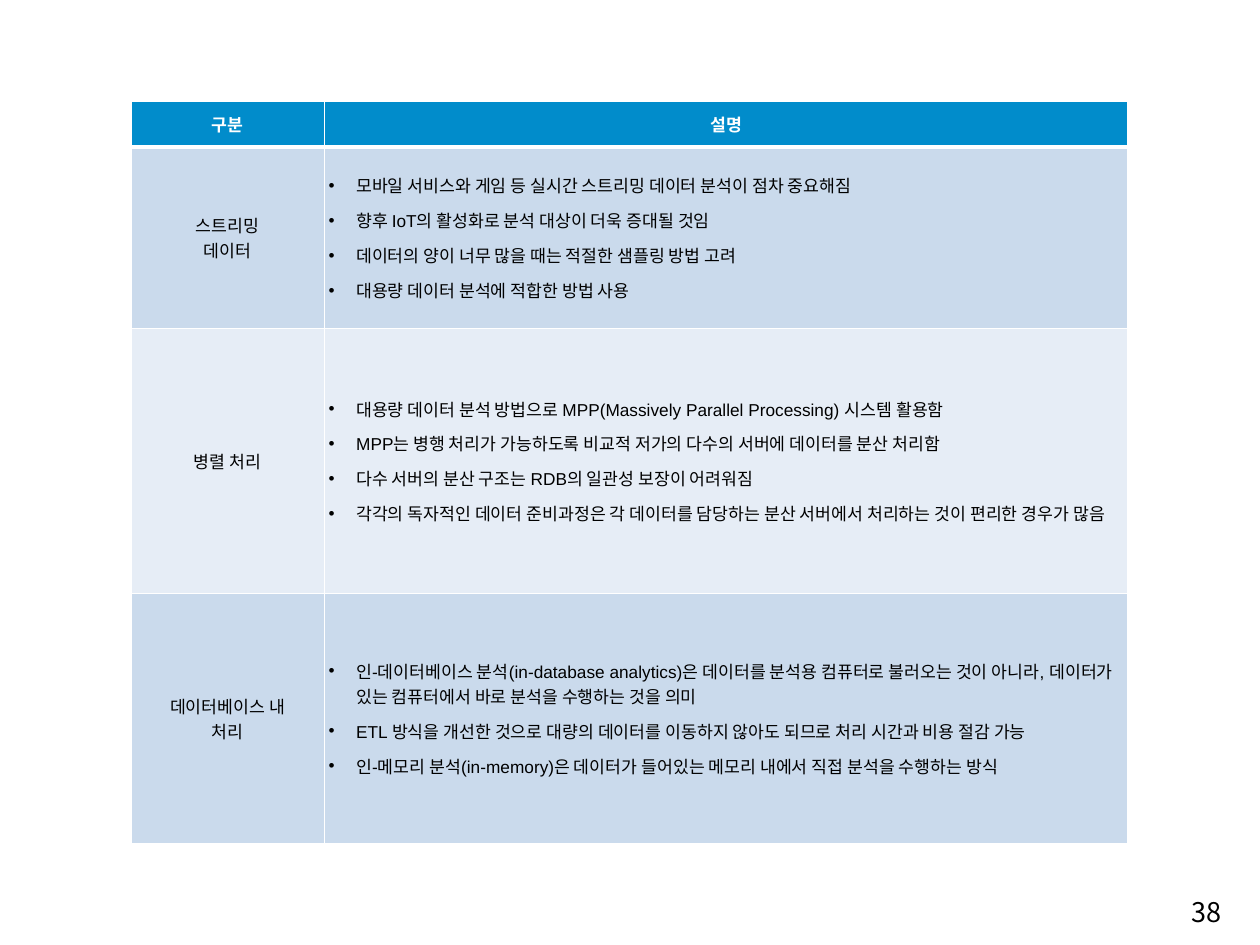
from lxml.etree import SubElement
from pptx import Presentation
from pptx.dml.color import RGBColor
from pptx.enum.text import MSO_ANCHOR, PP_ALIGN
from pptx.oxml.ns import qn
from pptx.util import Inches, Pt

HEADER = ("구분", "설명")
TOPICS = [
    (["스트리밍", "데이터"], [
        "모바일 서비스와 게임 등 실시간 스트리밍 데이터 분석이 점차 중요해짐",
        "향후 IoT의 활성화로 분석 대상이 더욱 증대될 것임",
        "데이터의 양이 너무 많을 때는 적절한 샘플링 방법 고려",
        "대용량 데이터 분석에 적합한 방법 사용",
    ]),
    (["병렬 처리"], [
        "대용량 데이터 분석 방법으로 MPP(Massively Parallel Processing) 시스템 활용함",
        "MPP는 병행 처리가 가능하도록 비교적 저가의 다수의 서버에 데이터를 분산 처리함",
        "다수 서버의 분산 구조는 RDB의 일관성 보장이 어려워짐",
        "각각의 독자적인 데이터 준비과정은 각 데이터를 담당하는 분산 서버에서 처리하는 것이 편리한 경우가 많음",
    ]),
    (["데이터베이스 내", "처리"], [
        "인-데이터베이스 분석(in-database analytics)은 데이터를 분석용 컴퓨터로 불러오는 것이 아니라, "
        "데이터가 있는 컴퓨터에서 바로 분석을 수행하는 것을 의미",
        "ETL 방식을 개선한 것으로 대량의 데이터를 이동하지 않아도 되므로 처리 시간과 비용 절감 가능",
        "인-메모리 분석(in-memory)은 데이터가 들어있는 메모리 내에서 직접 분석을 수행하는 방식",
    ]),
]
PAGE = "38"

COLORS = {"header": "018CCB", "odd": "CADAEC", "even": "E6EDF6",
          "white": "FFFFFF", "black": "000000"}
COL_WIDTHS = (2.18, 9.07)
ROW_HEIGHTS = (0.51, 2.05, 2.99, 2.82)
KOREAN_FONT = "Noto Sans CJK KR"
HEAD_FONT = {"name": "Arial", "size": Pt(14), "bold": True}
BODY_FONT = {"name": "Arial", "size": Pt(14), "bold": False}
PAGE_FONT = {"name": KOREAN_FONT, "size": Pt(22)}
SIDES = ("left", "right", "top", "bottom")


def add_run(p, text, font, color):
    r = p.add_run()
    r.text = text
    for name, value in font.items():
        setattr(r.font, name, value)
    r.font.color.rgb = RGBColor.from_string(COLORS[color])
    SubElement(r.font._element, qn("a:ea"), typeface=KOREAN_FONT)


def set_margins(box, inches):
    for side in SIDES:
        setattr(box, f"margin_{side}", Inches(inches))


def add_bullet(p):
    pPr = p._p.get_or_add_pPr()
    pPr.set("marL", str(Inches(0.31)))
    pPr.set("indent", str(-Inches(0.31)))
    SubElement(pPr, qn("a:buFont"), typeface="Arial")
    SubElement(pPr, qn("a:buChar"), char="•")


def add_borders(cell, top, bottom):
    tcPr = cell._tc.get_or_add_tcPr()
    for side, width in (("L", 1), ("R", 1), ("T", top), ("B", bottom)):
        ln = SubElement(tcPr, qn(f"a:ln{side}"), w=str(Pt(width)))
        fill = SubElement(ln, qn("a:solidFill"))
        SubElement(fill, qn("a:srgbClr"), val=COLORS["white"])


def fill_cell(cell, lines, fill, font, color, bulleted=False):
    set_margins(cell, 0.05)
    cell.vertical_anchor = MSO_ANCHOR.MIDDLE
    cell.fill.solid()
    cell.fill.fore_color.rgb = RGBColor.from_string(COLORS[fill])
    tf = cell.text_frame
    for i, line in enumerate(lines):
        p = tf.add_paragraph() if i else tf.paragraphs[0]
        if bulleted:
            add_bullet(p)
            if i:
                p.space_before = Pt(8)
        else:
            p.alignment = PP_ALIGN.CENTER
        add_run(p, line, font, color)


prs = Presentation()
prs.slide_width, prs.slide_height = Inches(14.22), Inches(10.67)
s = prs.slides.add_slide(prs.slide_layouts[6])

table = s.shapes.add_table(
    len(ROW_HEIGHTS), len(COL_WIDTHS), Inches(1.48), Inches(1.15),
    Inches(sum(COL_WIDTHS)), Inches(sum(ROW_HEIGHTS))).table
table.horz_banding = False
for col, width in zip(table.columns, COL_WIDTHS):
    col.width = Inches(width)
for i, (row, height) in enumerate(zip(table.rows, ROW_HEIGHTS)):
    row.height = Inches(height)
    for cell in row.cells:
        add_borders(cell, top=3 if i == 1 else 1, bottom=3 if i == 0 else 1)

for c, title in enumerate(HEADER):
    fill_cell(table.cell(0, c), [title], "header", HEAD_FONT, "white")
for i, (label, points) in enumerate(TOPICS, start=1):
    fill = "odd" if i % 2 else "even"
    fill_cell(table.cell(i, 0), label, fill, BODY_FONT, "black")
    fill_cell(table.cell(i, 1), points, fill, BODY_FONT, "black", bulleted=True)

page = s.shapes.add_textbox(Inches(13.38), Inches(10.05), Inches(0.47), Inches(0.49))
tf = page.text_frame
tf.word_wrap = False
set_margins(tf, 0.06)
p = tf.paragraphs[0]
p.alignment = PP_ALIGN.CENTER
add_run(p, PAGE, PAGE_FONT, "black")

prs.save("out.pptx")
